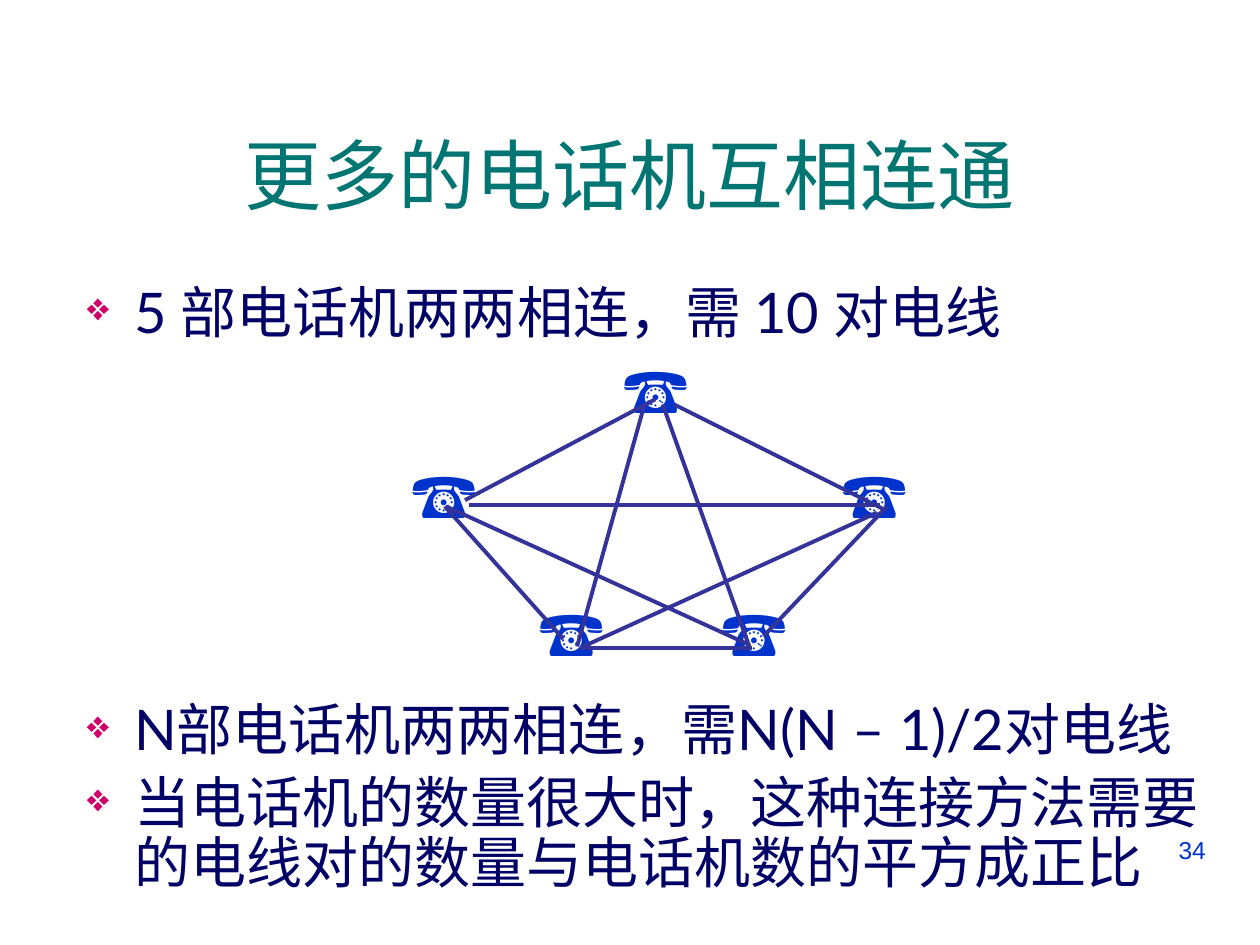
from dataclasses import dataclass
from typing import NamedTuple

from lxml.etree import SubElement
from pptx import Presentation
from pptx.dml.color import RGBColor
from pptx.enum.shapes import MSO_CONNECTOR as Connector
from pptx.enum.text import MSO_ANCHOR as Anchor, MSO_AUTO_SIZE as AutoSize, PP_ALIGN as Align
from pptx.oxml.ns import qn
from pptx.util import Pt


@dataclass(frozen=True)
class TextStyle:
    font: str
    size: float
    color: str


@dataclass(frozen=True)
class Theme:
    title: TextStyle = TextStyle("Arial", 44, "007572")
    body: TextStyle = TextStyle("Lato", 32, "000066")
    phone: TextStyle = TextStyle("Times New Roman", 36, "0033CC")
    number: TextStyle = TextStyle("Arial", 14, "0033CC")
    bullet_color: str = "CC0066"
    bullet_percent: int = 70
    wire_color: str = "333399"
    wire_width: float = 2.25


class Box(NamedTuple):
    left: float
    top: float
    width: float
    height: float


class Bullet(NamedTuple):
    text: str
    space_before: float


class Wire(NamedTuple):
    x1: float
    y1: float
    x2: float
    y2: float


THEME = Theme()
BULLET_INDENT = 27
DIAGRAM_GAP = 204  # room for the phone network between the bullets

BULLETS = [
    Bullet("5 部电话机两两相连，需 10 对电线", 7),
    Bullet("N部电话机两两相连，需N(N – 1)/2对电线", DIAGRAM_GAP),
    Bullet("当电话机的数量很大时，这种连接方法需要的电线对的数量与电话机数的平方成正比", 7),
]

# Phones are mirrored about the left edge of the top phone
PHONE_CENTER = 349.2
PHONE_OFFSETS = [(0, 196.6), (-121, 257), (-48.2, 335.5), (125, 257), (56.2, 335.5)]
PHONES = [Box(PHONE_CENTER + dx, top, 62.6, 50.4) for dx, top in PHONE_OFFSETS]

WIRES = [
    Wire(265.7, 285.8, 374.4, 228.2),
    Wire(385.2, 231.1, 506.2, 291.6),
    Wire(254.2, 289.4, 321.8, 365),
    Wire(331.2, 370.1, 429.8, 370.1),
    Wire(436.3, 363.6, 506.9, 289.4),
    Wire(378.7, 231.1, 428.4, 370.1),
    Wire(367.9, 232.6, 329.8, 369.4),
    Wire(267.8, 288.7, 502.6, 288.7),
    Wire(254.9, 289.4, 428.4, 368.6),
    Wire(333.4, 369.4, 501.1, 293),
]


def add_frame(slide, box: Box, wrap: bool = True):
    shape = slide.shapes.add_textbox(*(Pt(length) for length in box))
    shape.text_frame.word_wrap = wrap
    return shape.text_frame


def add_run(paragraph, text: str, style: TextStyle) -> None:
    run = paragraph.add_run()
    run.text = text
    run.font.name = style.font
    run.font.size = Pt(style.size)
    run.font.color.rgb = RGBColor.from_string(style.color)


def add_label(slide, box: Box, text: str, style: TextStyle, align: Align, wrap: bool = True):
    frame = add_frame(slide, box, wrap)
    paragraph = frame.paragraphs[0]
    paragraph.alignment = align
    add_run(paragraph, text, style)
    return frame


def set_bullet(paragraph) -> None:
    properties = paragraph._p.get_or_add_pPr()
    properties.set("marL", str(Pt(BULLET_INDENT)))
    properties.set("indent", str(-Pt(BULLET_INDENT)))
    color = SubElement(properties, qn("a:buClr"))
    SubElement(color, qn("a:srgbClr"), val=THEME.bullet_color)
    SubElement(properties, qn("a:buSzPct"), val=str(THEME.bullet_percent * 1000))
    SubElement(properties, qn("a:buChar"), char="❖")


def add_bullets(slide, box: Box, bullets: list[Bullet]) -> None:
    frame = add_frame(slide, box)
    for index, bullet in enumerate(bullets):
        paragraph = frame.add_paragraph() if index else frame.paragraphs[0]
        paragraph.line_spacing = 0.9
        paragraph.space_before = Pt(bullet.space_before)
        set_bullet(paragraph)
        add_run(paragraph, bullet.text, THEME.body)


def add_phone(slide, box: Box) -> None:
    frame = add_label(slide, box, "☎", THEME.phone, Align.LEFT, wrap=False)
    frame.auto_size = AutoSize.SHAPE_TO_FIT_TEXT


def add_wire(slide, wire: Wire) -> None:
    connector = slide.shapes.add_connector(Connector.STRAIGHT, *(Pt(length) for length in wire))
    connector.line.color.rgb = RGBColor.from_string(THEME.wire_color)
    connector.line.width = Pt(THEME.wire_width)
    SubElement(connector._element.spPr, qn("a:effectLst"))


def main() -> None:
    presentation = Presentation()
    presentation.slide_width, presentation.slide_height = Pt(720), Pt(540)
    slide = presentation.slides.add_slide(presentation.slide_layouts[6])

    # Slide number, title and bullets
    add_label(slide, Box(516.2, 473.8, 180, 37.4), "34", THEME.number, Align.RIGHT)
    title = add_label(slide, Box(23.8, 54, 672.5, 90), "更多的电话机互相连通", THEME.title, Align.CENTER)
    title.vertical_anchor = Anchor.MIDDLE
    add_bullets(slide, Box(42.5, 159.1, 677.5, 380.9), BULLETS)

    # Phone network
    for phone in PHONES:
        add_phone(slide, phone)
    for wire in WIRES:
        add_wire(slide, wire)

    presentation.save("out.pptx")


if __name__ == "__main__":
    main()
